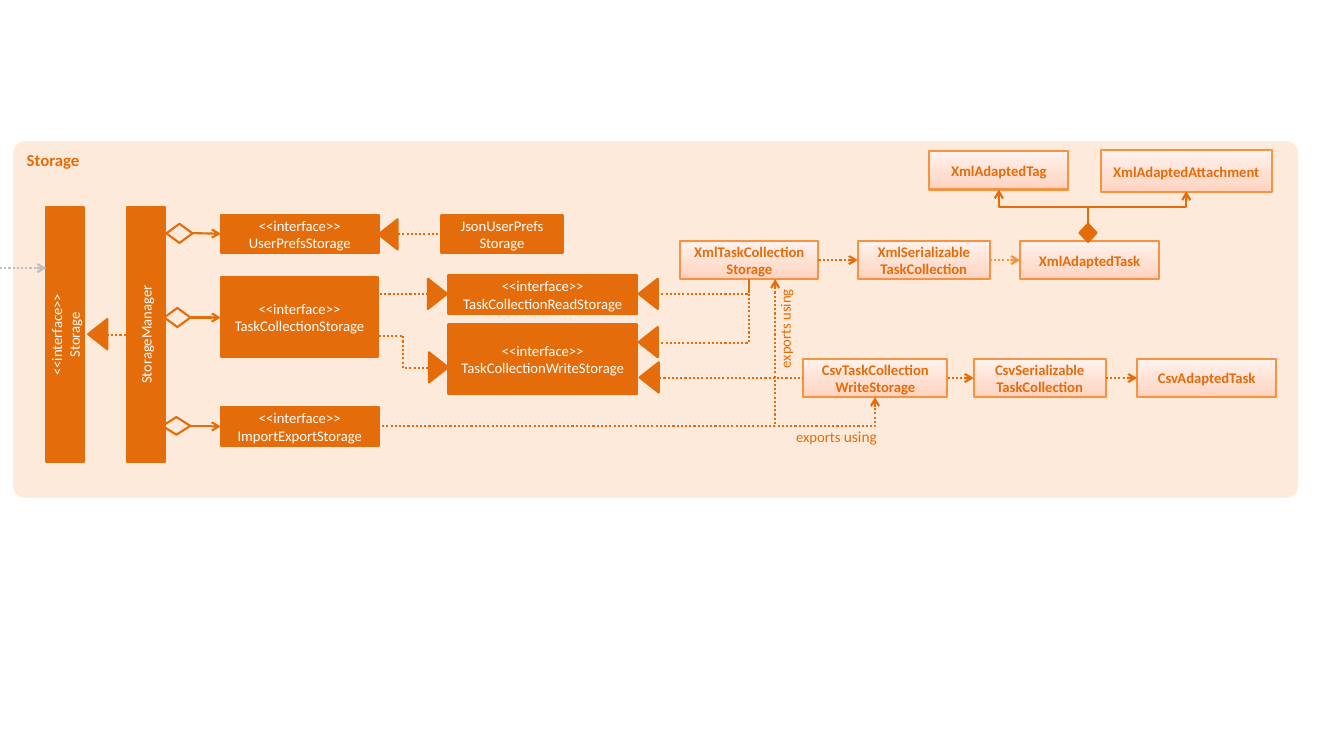
from copy import deepcopy

from lxml import etree
from pptx import Presentation
from pptx.dml.color import RGBColor
from pptx.enum.dml import MSO_LINE
from pptx.enum.shapes import MSO_CONNECTOR, MSO_SHAPE
from pptx.enum.text import MSO_ANCHOR, MSO_AUTO_SIZE, PP_ALIGN
from pptx.oxml.ns import qn
from pptx.util import Pt

color = RGBColor.from_string
ORANGE, AMBER, CREAM, GREY, WHITE = "E46C0A", "F69240", "FDEADA", "BFBFBF", "FFFFFF"
BOX_GRADIENT = [(0, "FFD2BD"), (0.35, "FFDED0"), (1, "FFF2ED")]
BOX_HEIGHT = 27.4

presentation = Presentation()
presentation.slide_width, presentation.slide_height = Pt(960), Pt(540)
slide = presentation.slides.add_slide(presentation.slide_layouts[6])


def write(paragraph, text, size=10.5, ink=ORANGE, bold=False):
    run = paragraph.add_run()
    run.text = text
    run.font.name, run.font.size, run.font.bold = "Calibri", Pt(size), bold
    run.font.color.rgb = color(ink)


def add_shape(preset, left, top, width, height, fill=None, line=ORANGE, rotation=0):
    shape = slide.shapes.add_shape(preset, Pt(left), Pt(top), Pt(width), Pt(height))
    shape.shadow.inherit = False
    shape.rotation = rotation
    if fill:
        shape.fill.solid()
        shape.fill.fore_color.rgb = color(fill)
    else:
        shape.fill.background()
    if line:
        shape.line.color.rgb = color(line)
        shape.line.width = Pt(1.5)
    else:
        shape.line.fill.background()
    return shape


# Storage component panel
panel = add_shape(MSO_SHAPE.ROUNDED_RECTANGLE, 9.4, 100.8, 918, 254.9, CREAM, None)
panel.adjustments[0] = 0.035
panel.text_frame.vertical_anchor = MSO_ANCHOR.TOP
panel.text_frame.paragraphs[0].alignment = PP_ALIGN.LEFT
write(panel.text_frame.paragraphs[0], "Storage", size=12, bold=True)

# Class boxes: text, left, top, width, height, rotation, light style
INTERFACE = "<<interface>>\n"
XML_TOP, CSV_TOP, PREFS_TOP = 172.1, 256.3, 153.4
boxes = [
    (INTERFACE + "Storage", -44.6, 225.4, 182.2, BOX_HEIGHT, 270, False),
    ("StorageManager", 13, 225.4, 182.2, BOX_HEIGHT, 270, False),
    (INTERFACE + "UserPrefsStorage", 157.7, PREFS_TOP, 113, BOX_HEIGHT, 0, False),
    (INTERFACE + "TaskCollectionStorage", 157.7, 198, 112.5, 56.9, 0, False),
    (INTERFACE + "ImportExportStorage", 157.7, 290.9, 113, BOX_HEIGHT, 0, False),
    ("JsonUserPrefs\nStorage", 315.4, PREFS_TOP, 86.4, BOX_HEIGHT, 0, False),
    (INTERFACE + "TaskCollectionReadStorage", 320.4, 196.6, 134.6, BOX_HEIGHT, 0, False),
    (INTERFACE + "TaskCollectionWriteStorage", 320.4, 231.8, 134.6, 49.7, 0, False),
    ("XmlTaskCollection\nStorage", 486, XML_TOP, 98.6, BOX_HEIGHT, 0, True),
    ("XmlSerializable\nTaskCollection", 612.7, XML_TOP, 94.3, BOX_HEIGHT, 0, True),
    ("XmlAdaptedTask", 728.6, XML_TOP, 99.4, BOX_HEIGHT, 0, True),
    ("XmlAdaptedTag", 663.8, 108, 99.4, BOX_HEIGHT, 0, True),
    ("XmlAdaptedAttachment", 786.2, 107.3, 122.4, 30.2, 0, True),
    ("CsvTaskCollection\nWriteStorage", 573.8, CSV_TOP, 103, BOX_HEIGHT, 0, True),
    ("CsvSerializable\nTaskCollection", 695.5, CSV_TOP, 94.3, BOX_HEIGHT, 0, True),
    ("CsvAdaptedTask", 812.2, CSV_TOP, 99.4, BOX_HEIGHT, 0, True),
]
for text, left, top, width, height, rotation, light in boxes:
    box = add_shape(MSO_SHAPE.RECTANGLE, left, top, width, height, ORANGE,
                    AMBER if light else ORANGE, rotation)
    if light:
        box.fill.gradient()
        box.fill.gradient_angle = 90
        stop_list = box._element.spPr.find(qn("a:gradFill")).find(qn("a:gsLst"))
        stop_list.insert(1, deepcopy(stop_list[0]))
        for stop, (position, shade) in zip(box.fill.gradient_stops, BOX_GRADIENT):
            stop.position = position
            stop.color.rgb = color(shade)
    frame = box.text_frame
    frame.word_wrap = True
    frame.vertical_anchor = MSO_ANCHOR.MIDDLE
    for index, words in enumerate(text.split("\n")):
        paragraph = frame.add_paragraph() if index else frame.paragraphs[0]
        paragraph.alignment = PP_ALIGN.CENTER
        write(paragraph, words, ink=ORANGE if light else WHITE, bold=light)

# Inheritance triangles: centre and rotation (270 points left, 90 points right)
for x, y, rotation in [(69.8, 238.7, 270), (277.2, 167.4, 270), (312.5, 209.9, 90),
                       (313.2, 262.4, 90), (463, 209.9, 270), (463, 244.4, 270),
                       (463.7, 269.6, 270)]:
    add_shape(MSO_SHAPE.ISOSCELES_TRIANGLE, x - 10.8, y - 6.85, 21.6, 13.7,
              ORANGE, rotation=rotation)

# Aggregation diamonds (hollow) and composition diamond (filled): centre, size
for x, y, width, height, fill in [(128.2, 166.7, 18.7, 13.7, None),
                                  (126.7, 226.8, 18.7, 13.7, None),
                                  (126, 304.2, 20, 12.6, None),
                                  (777.2, 166.3, 12.2, 13, ORANGE)]:
    add_shape(MSO_SHAPE.FLOWCHART_DECISION, x - width / 2, y - height / 2,
              width, height, fill)

# Connectors: preset, start, end, colour, dotted, arrow, rotation
STRAIGHT, CORNER, ELBOW = "line", "bentConnector2", "bentConnector3"
XML_ROW, CSV_ROW, EXPORT_ROW = 185.8, 270, 304.6
connectors = [
    (STRAIGHT, 0, 191.5, 33.1, 191.5, GREY, True, True, 0),
    (STRAIGHT, 76.3, 239, 90, 239, ORANGE, True, False, 0),
    (STRAIGHT, 137.5, 166.5, 157.7, 167, ORANGE, False, True, 0),
    (STRAIGHT, 136.1, 226.8, 157.7, 226.8, ORANGE, False, True, 0),
    (STRAIGHT, 136.1, EXPORT_ROW, 157.7, EXPORT_ROW, ORANGE, False, True, 0),
    (STRAIGHT, 284.4, 167, 315.4, 167, ORANGE, True, False, 0),
    (STRAIGHT, 306, 210, 271.4, 210, ORANGE, True, False, 0),
    (ELBOW, 306, 262.8, 270, 239.8, ORANGE, True, False, 0),
    (CORNER, 469.4, 210, 535, 199.4, ORANGE, True, False, 0),
    (CORNER, 469.4, 244.8, 535, 199.4, ORANGE, True, False, 0),
    (STRAIGHT, 470.9, CSV_ROW, 573.8, CSV_ROW, ORANGE, True, False, 0),
    (STRAIGHT, 584.6, XML_ROW, 612.7, XML_ROW, ORANGE, True, True, 0),
    (STRAIGHT, 707, XML_ROW, 728.6, XML_ROW, AMBER, True, True, 0),
    (STRAIGHT, 676.8, CSV_ROW, 695.5, CSV_ROW, ORANGE, True, True, 0),
    (STRAIGHT, 789.8, CSV_ROW, 812.2, CSV_ROW, ORANGE, True, True, 0),
    (CORNER, 270, EXPORT_ROW, 625, 283.7, ORANGE, True, True, 0),
    (CORNER, 270, EXPORT_ROW, 553.7, 199.4, ORANGE, True, True, 0),
    (CORNER, 783.4, 147.6, 713.5, 135.4, ORANGE, False, True, 0),
    (ELBOW, 823.7, 183.2, 800.7, 113, ORANGE, False, True, 90),
]
for preset, x1, y1, x2, y2, ink, dotted, arrow, rotation in connectors:
    kind = MSO_CONNECTOR.STRAIGHT if preset == STRAIGHT else MSO_CONNECTOR.ELBOW
    connector = slide.shapes.add_connector(kind, Pt(x1), Pt(y1), Pt(x2), Pt(y2))
    connector.line.color.rgb = color(ink)
    connector.line.width = Pt(1.5)
    if dotted:
        connector.line.dash_style = MSO_LINE.ROUND_DOT
    properties = connector._element.spPr
    properties.find(qn("a:prstGeom")).set("prst", preset)
    if rotation:
        properties.find(qn("a:xfrm")).set("rot", str(rotation * 60000))
    if arrow:
        etree.SubElement(properties.find(qn("a:ln")), qn("a:tailEnd"), type="arrow")
    etree.SubElement(properties, qn("a:effectLst"))

# Export labels
for left, top, rotation, using_size in [(561.6, 301.7, 0, 11), (524.2, 222.5, 270, 10.5)]:
    label = slide.shapes.add_textbox(Pt(left), Pt(top), Pt(74.2), Pt(20.9))
    label.rotation = rotation
    label.text_frame.word_wrap = False
    label.text_frame.auto_size = MSO_AUTO_SIZE.SHAPE_TO_FIT_TEXT
    write(label.text_frame.paragraphs[0], "exports ")
    write(label.text_frame.paragraphs[0], "using", size=using_size)

presentation.save("out.pptx")
